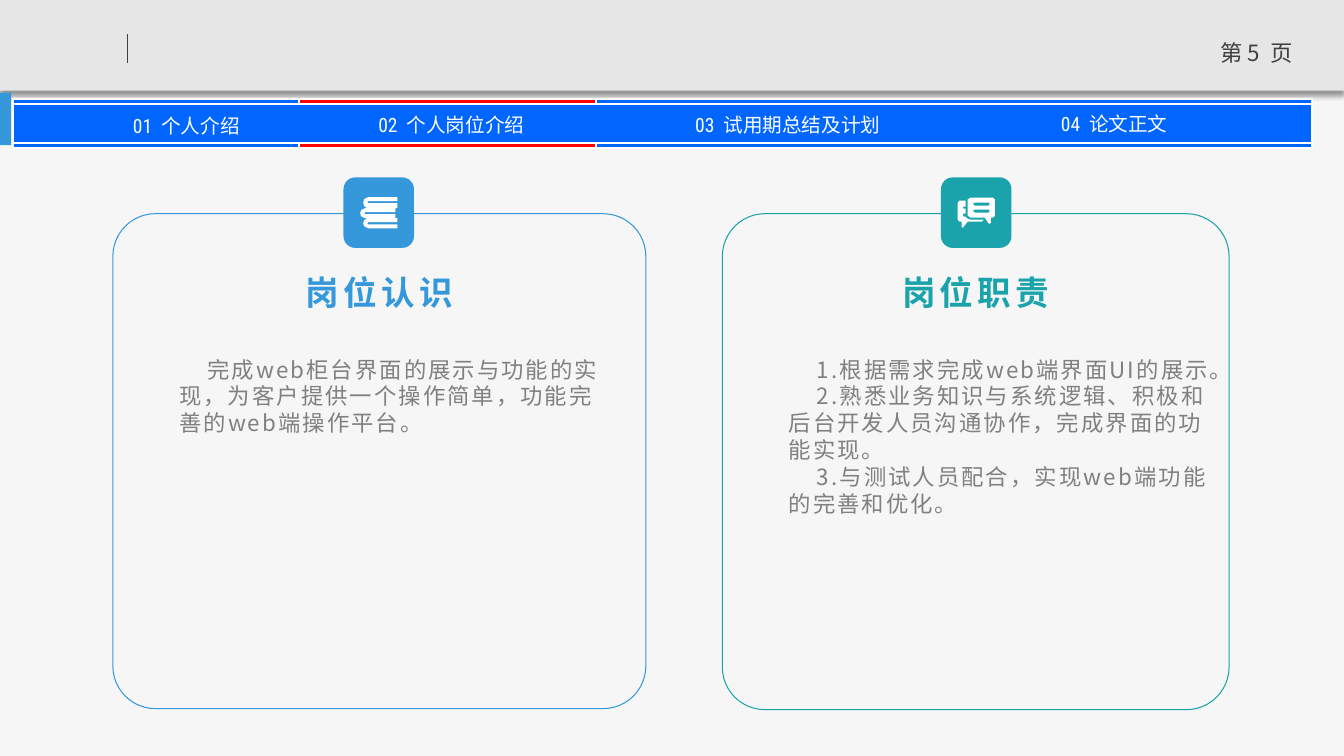
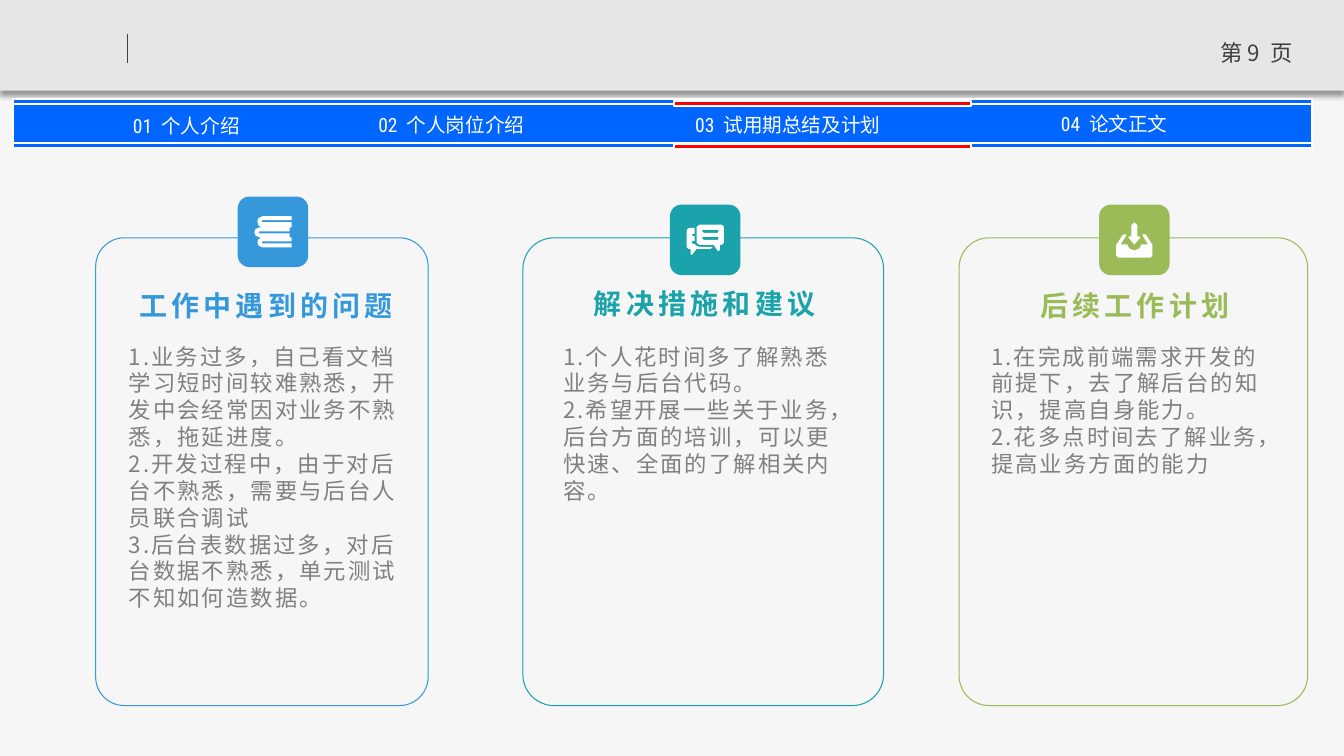
import dataclasses

import lxml.etree
import pptx
import pptx.dml.color
import pptx.enum.shapes
import pptx.enum.text
import pptx.oxml
import pptx.oxml.ns
import pptx.util

EMU_PER_PX = 9144  # 100 px to the inch
SLIDE_WIDTH, SLIDE_HEIGHT = 1334, 750
CJK_FONT, NAV_FONT = "Noto Sans CJK SC", "Roboto Condensed"
PAPER, HEADER, INK, BODY = "F6F6F6", "E6E6E6", "404040", "808080"
WHITE, NAV_BLUE, NAV_ACTIVE = "FFFFFF", "0066FF", "FF0000"
BLUE, TEAL, GREEN = "3498DB", "1AA3AA", "9BBB59"
TILE_SIZE = 70
STRIP_HEIGHT = 5
RECTANGLE = pptx.enum.shapes.MSO_SHAPE.RECTANGLE
ROUNDED = pptx.enum.shapes.MSO_SHAPE.ROUNDED_RECTANGLE
CENTER = pptx.enum.text.PP_ALIGN.CENTER
LEFT = pptx.enum.text.PP_ALIGN.LEFT
MIDDLE = pptx.enum.text.MSO_ANCHOR.MIDDLE
TOP = pptx.enum.text.MSO_ANCHOR.TOP

NAV_ITEMS = [
    (61, 113, "01", "个人介绍"),
    (324, 112, "02", "个人岗位介绍"),
    (658, 112, "03", "试用期总结及计划"),
    (982, 111, "04", "论文正文"),
]

# Each icon is its width, its height and a list of outlines.
BOOKS = (37, 31, [
    [(8, 27), (7, 26), (8, 25), (37, 25), (37, 21), (35, 21), (35, 17), (5, 17),
     (4, 16), (5, 15), (35, 15), (35, 11), (37, 11), (37, 6), (8, 6), (7, 5),
     (8, 4), (37, 4), (37, 0), (8, 0), (4, 2), (3, 5), (4, 9), (7, 11), (5, 11),
     (1, 13), (0, 16), (1, 19), (5, 21), (7, 21), (4, 23), (3, 26), (4, 29),
     (8, 31), (37, 31), (37, 27)],
])
COMMENTS = (37, 30, [
    [(17, 12), (15, 13), (17, 15), (31, 15), (32, 13), (31, 12)],
    [(17, 5), (15, 6), (17, 8), (31, 8), (32, 6), (31, 5)],
    [(2, 3), (8, 3), (8, 9), (6, 9), (5, 10), (6, 11), (8, 11), (8, 16), (6, 16),
     (5, 17), (6, 19), (8, 19), (10, 21), (13, 22), (26, 22), (24, 24), (10, 24),
     (6, 29), (5, 30), (4, 29), (4, 24), (2, 24), (0, 22), (0, 6), (1, 4)],
    [(13, 0), (35, 0), (37, 2), (37, 18), (35, 20), (33, 20), (33, 25), (32, 26),
     (31, 26), (27, 20), (13, 20), (10, 18), (10, 2)],
])
DOWNLOAD = (36, 35, [
    [(8, 12), (10, 12), (10, 13), (5, 21), (5, 22), (11, 22), (13, 26), (18, 28),
     (23, 26), (25, 22), (31, 22), (31, 21), (26, 13), (26, 12), (29, 12), (30, 13),
     (35, 21), (36, 22), (36, 33), (34, 35), (2, 35), (0, 33), (0, 22), (1, 21),
     (6, 13)],
    [(18, 0), (21, 3), (21, 14), (23, 14), (24, 15), (19, 21), (18, 22), (17, 21),
     (12, 15), (13, 14), (15, 14), (15, 3)],
])


@dataclasses.dataclass
class Card:
    """A framed panel; boxes are left, top, width, height in px."""
    color: str
    icon: tuple
    frame: tuple
    tile: tuple
    heading: str
    heading_box: tuple
    heading_size: int
    body: list
    body_box: tuple
    indent: int = 0


DUTY_CARDS = [
    Card(BLUE, BOOKS, (112, 212, 529, 491), (341, 176),
         "岗位认识", (264, 265, 225, 50), 24,
         ["完成web柜台界面的展示与功能的实现，为客户提供一个操作简单，功能完善的web端操作平台。"],
         (168, 348, 438, 318), 28),
    Card(TEAL, COMMENTS, (717, 212, 503, 492), (934, 176),
         "岗位职责", (856, 265, 225, 50), 24,
         ["1.根据需求完成web端界面UI的展示。",
          "2.熟悉业务知识与系统逻辑、积极和后台开发人员沟通协作，完成界面的功能实现。",
          "3.与测试人员配合，实现web端功能的完善和优化。"],
         (773, 348, 444, 318), 28),
]
REVIEW_CARDS = [
    Card(BLUE, BOOKS, (95, 236, 330, 464), (236, 195),
         "工作中遇到的问题", (118, 281, 292, 44), 20,
         ["1.业务过多，自己看文档学习短时间较难熟悉，开发中会经常因对业务不熟悉，拖延进度。",
          "2.开发过程中，由于对后台不熟悉，需要与后台人员联合调试",
          "3.后台表数据过多，对后台数据不熟悉，单元测试不知如何造数据。"],
         (118, 335, 292, 335)),
    Card(TEAL, COMMENTS, (519, 236, 358, 464), (665, 203),
         "解决措施和建议", (549, 279, 301, 44), 20,
         ["1.个人花时间多了解熟悉业务与后台代码。",
          "2.希望开展一些关于业务，后台方面的培训，可以更快速、全面的了解相关内容。"],
         (549, 335, 301, 335)),
    Card(GREEN, DOWNLOAD, (952, 236, 346, 464), (1091, 203),
         "后续工作计划", (1014, 281, 225, 44), 20,
         ["1.在完成前端需求开发的前提下，去了解后台的知识，提高自身能力。",
          "2.花多点时间去了解业务，提高业务方面的能力"],
         (974, 335, 297, 335)),
]


def px(length):
    return pptx.util.Emu(round(length * EMU_PER_PX))


def rgb(color):
    return pptx.dml.color.RGBColor.from_string(color)


def set_attributes(target, values):
    for name, value in values.items():
        setattr(target, name, value)


def paint(shape, fill=None, line=None, line_width=0.75):
    shape.shadow.inherit = False
    if fill:
        shape.fill.solid()
        shape.fill.fore_color.rgb = rgb(fill)
    else:
        shape.fill.background()
    if line:
        shape.line.color.rgb = rgb(line)
        shape.line.width = pptx.util.Pt(line_width)
    else:
        shape.line.fill.background()


def add_box(slide, kind, box, **colors):
    shape = slide.shapes.add_shape(kind, *map(px, box))
    paint(shape, **colors)
    return shape


def add_header_shadow(shape):
    """Replace the empty effect list by a soft shadow falling downwards."""
    effects = shape.fill._xPr.find(pptx.oxml.ns.qn("a:effectLst"))
    effects.append(pptx.oxml.parse_xml(
        f'<a:outerShdw {pptx.oxml.ns.nsdecls("a")} blurRad="50800" dist="38100" '
        'dir="5400000" algn="t" rotWithShape="0"><a:srgbClr val="000000">'
        '<a:alpha val="40000"/></a:srgbClr></a:outerShdw>'))


def add_run(paragraph, text, size, color, font=CJK_FONT, bold=False, spacing=0):
    run = paragraph.add_run()
    run.text = text
    set_attributes(run.font, {"name": font, "size": pptx.util.Pt(size), "bold": bold})
    run.font.color.rgb = rgb(color)
    properties = run._r.get_or_add_rPr()
    properties.set("lang", "zh-CN")
    properties.set("spc", str(round(spacing * 100)))
    east_asian = lxml.etree.Element(pptx.oxml.ns.qn("a:ea"), typeface=CJK_FONT)
    properties.find(pptx.oxml.ns.qn("a:latin")).addnext(east_asian)


def add_text(slide, box, paragraphs, align=LEFT, anchor=TOP, inset=None, indent=0):
    """Each paragraph is a list of runs, each run a dict for add_run."""
    frame = slide.shapes.add_textbox(*map(px, box)).text_frame
    set_attributes(frame, {"word_wrap": True, "vertical_anchor": anchor})
    if inset is not None:
        set_attributes(frame, {f"margin_{side}": px(inset)
                               for side in ("left", "top", "right", "bottom")})
    for index, runs in enumerate(paragraphs):
        paragraph = frame.add_paragraph() if index else frame.paragraphs[0]
        paragraph.alignment = align
        if indent:
            paragraph._p.get_or_add_pPr().set("indent", str(px(indent)))
        for run in runs:
            add_run(paragraph, **run)


def spaced_pair(first, second, gap, **style):
    """Two runs parted by one widened space."""
    return [dict(text=first, **style), dict(text=" ", spacing=gap, **style),
            dict(text=second, **style)]


def add_icon(slide, icon, tile):
    width, height, outlines = icon
    builder = slide.shapes.build_freeform(*outlines[0][0], scale=EMU_PER_PX)
    for index, outline in enumerate(outlines):
        if index:
            builder.move_to(*outline[0])
        builder.add_line_segments(outline[1:], close=True)
    left, top = tile
    shape = builder.convert_to_shape(px(left + (TILE_SIZE - width) / 2),
                                     px(top + (TILE_SIZE - height) / 2))
    paint(shape, fill=WHITE)


def add_card(slide, card):
    frame = add_box(slide, ROUNDED, card.frame, line=card.color)
    frame.adjustments[0] = 0.086
    add_box(slide, ROUNDED, (*card.tile, TILE_SIZE, TILE_SIZE), fill=card.color)
    add_icon(slide, card.icon, card.tile)
    heading = dict(text=card.heading, size=card.heading_size, color=card.color,
                   bold=True, spacing=3)
    add_text(slide, card.heading_box, [[heading]], CENTER, MIDDLE)
    body = [[dict(text=text, size=16, color=BODY, spacing=1.5)] for text in card.body]
    add_text(slide, card.body_box, body, indent=card.indent)


def add_header(slide, page):
    add_header_shadow(add_box(slide, RECTANGLE, (0, 0, SLIDE_WIDTH, 90), fill=HEADER))
    divider = slide.shapes.add_connector(
        pptx.enum.shapes.MSO_CONNECTOR.STRAIGHT, *map(px, (127, 34, 127, 63)))
    divider.line.color.rgb = rgb(INK)
    divider.line.width = pptx.util.Pt(0.75)
    lxml.etree.SubElement(divider._element.spPr, pptx.oxml.ns.qn("a:effectLst"))
    page_runs = spaced_pair(f"第 {page}", "页", 3.6, size=16, color=INK)
    add_text(slide, (1187, 34, 120, 40), [page_runs], CENTER)


def add_nav_box(slide, left, top, width, height, fill):
    add_box(slide, RECTANGLE, (left, top, width, height),
            fill=fill, line=WHITE, line_width=1.5)


def add_nav(slide):
    for top, height in ((103, 43), (142, STRIP_HEIGHT), (98, STRIP_HEIGHT)):
        add_nav_box(slide, 13, top, 1289, height, NAV_BLUE)
    for left, top, number, label in NAV_ITEMS:
        runs = spaced_pair(number, label, 3.1, size=14, color=WHITE, font=NAV_FONT)
        add_text(slide, (left, top, 248, 24), [runs], CENTER, MIDDLE, inset=0)


def add_slide(presentation, page, cards, active_left, active_tops, side_tag=False):
    slide = presentation.slides.add_slide(presentation.slide_layouts.get_by_name("Blank"))
    add_header(slide, page)
    add_nav(slide)
    if side_tag:
        add_box(slide, RECTANGLE, (0, 92, 11, 52), fill=BLUE)
    for card in cards:
        add_card(slide, card)
    for top in active_tops:
        add_nav_box(slide, active_left, top, 295, STRIP_HEIGHT, NAV_ACTIVE)


def main():
    presentation = pptx.Presentation()
    set_attributes(presentation, {"slide_width": px(SLIDE_WIDTH),
                                  "slide_height": px(SLIDE_HEIGHT)})
    background = presentation.slide_master.background.fill
    background.solid()
    background.fore_color.rgb = rgb(PAPER)
    add_slide(presentation, 5, DUTY_CARDS, 297, (142, 98), side_tag=True)
    add_slide(presentation, 9, REVIEW_CARDS, 669, (143, 100))
    presentation.save("out.pptx")


if __name__ == "__main__":
    main()
